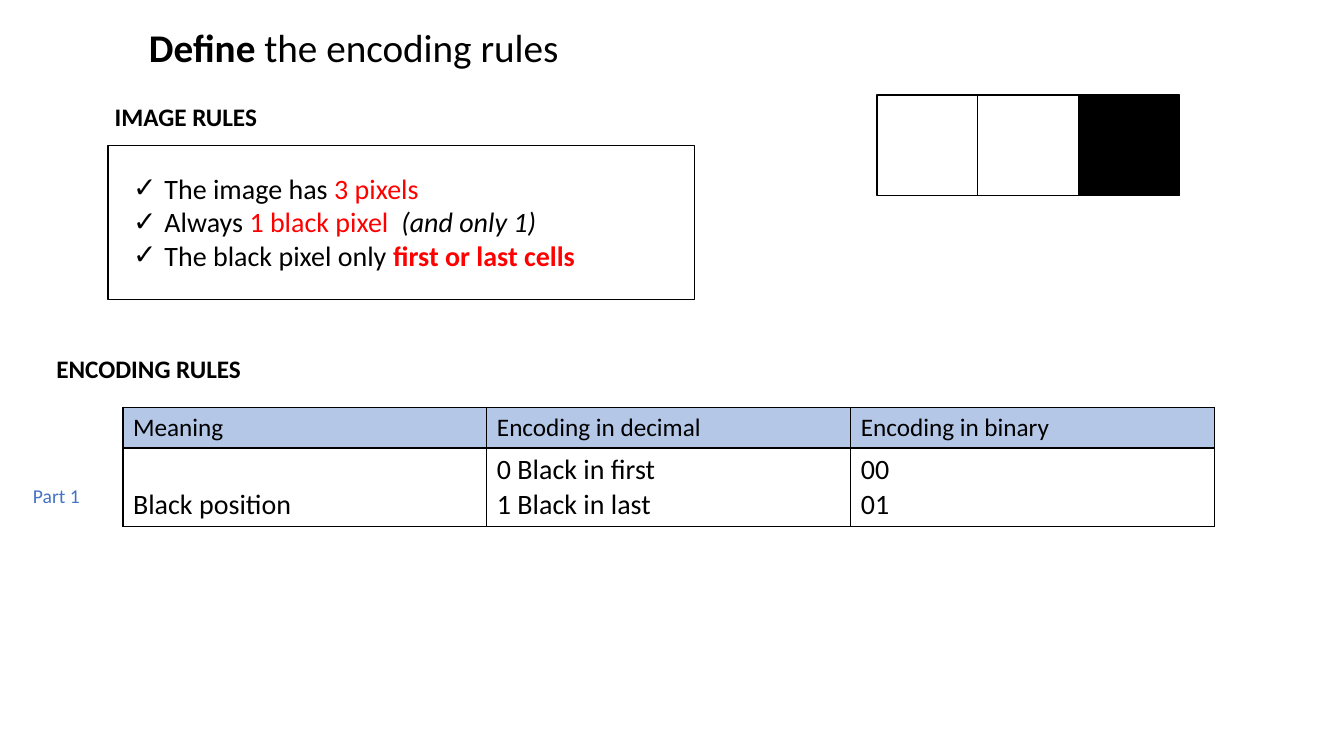
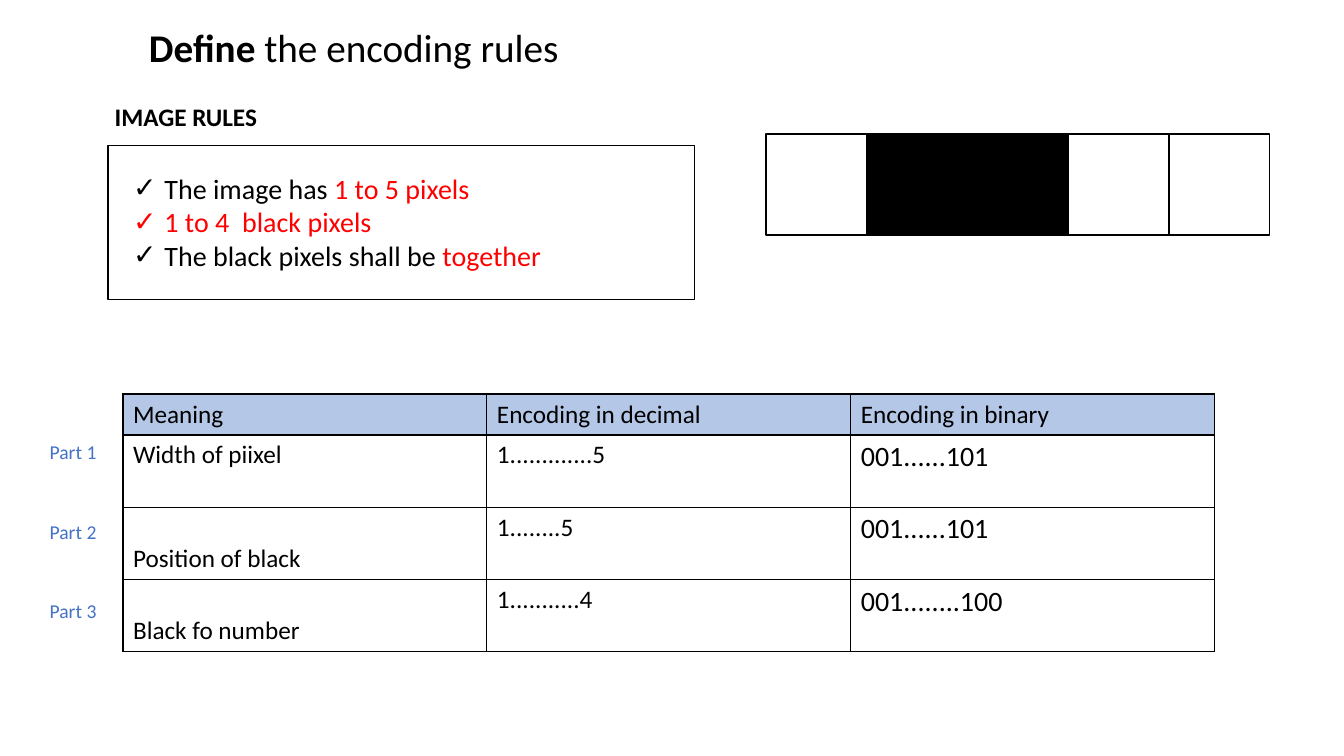
import pptx
import pptx.dml.color
import pptx.enum.shapes
import pptx.enum.text
import pptx.oxml
import pptx.oxml.ns
import pptx.util
from pptx.util import Cm

BLACK = pptx.dml.color.RGBColor(0x00, 0x00, 0x00)
WHITE = pptx.dml.color.RGBColor(0xFF, 0xFF, 0xFF)
RED = pptx.dml.color.RGBColor(0xFF, 0x00, 0x00)
BLUE = pptx.dml.color.RGBColor(0x44, 0x72, 0xC4)
PALE = pptx.dml.color.RGBColor(0xB4, 0xC7, 0xE7)
FONT = "Calibri"
NS = pptx.oxml.ns.nsdecls("a")
RECT = pptx.enum.shapes.MSO_SHAPE.RECTANGLE
LEFT = pptx.enum.text.PP_ALIGN.LEFT
TOP = pptx.enum.text.MSO_ANCHOR.TOP
LOW = pptx.enum.text.MSO_ANCHOR.BOTTOM
FIXED = pptx.enum.text.MSO_AUTO_SIZE.NONE
HEADS = ["Meaning", "Encoding in decimal", "Encoding in binary"]
SIDE = 2.54

PAGES = [
    {
        "rules": [
            [("The image has ", BLACK, ""), ("3 pixels", RED, "")],
            [("Always ", BLACK, ""), ("1 black pixel  ", RED, ""),
             ("(and only 1)", BLACK, "i")],
            [("The black pixel only ", BLACK, ""), ("first or last cells", RED, "b")],
        ],
        "pixels": (22.1, 2.39, [WHITE, WHITE, BLACK]),
        "heads": [("IMAGE RULES", 2.64, 2.44), ("ENCODING RULES", 1.17, 8.79)],
        "parts": [("Part 1", 0.58, 12.07)],
        "top": 10.26,
        "height": 1.96,
        "sizes": [20, 20, 20],
        "rows": [(LOW, ["Black position"],
                  ["0 Black in first", "1 Black in last"], ["00", "01"])],
    },
    {
        "rules": [
            [("The image has ", BLACK, ""), ("1 to 5 pixels", RED, "")],
            [("1 to 4  black pixels", RED, "")],
            [("The black pixels shall be ", BLACK, ""), ("together", RED, "")],
        ],
        "pixels": (19.3, 3.38, [WHITE, BLACK, BLACK, WHITE, WHITE]),
        "heads": [("IMAGE RULES", 2.64, 2.44)],
        "parts": [(f"Part {i + 1}", 1, 10.97 + 2 * i) for i in range(3)],
        "top": 9.93,
        "height": 1.82,
        "sizes": [18, 18, 20],
        "rows": [
            (TOP, ["Width of piixel"], ["1.............5"], ["001......101"]),
            (LOW, ["Position of black"], ["1........5"], ["001......101"]),
            (LOW, ["Black fo number"], ["1...........4"], ["001........100"]),
        ],
    },
]


def write(frame, lines, size):
    for i, line in enumerate(lines):
        para = frame.paragraphs[0] if i == 0 else frame.add_paragraph()
        para.alignment = LEFT
        para.space_before = pptx.util.Pt(0)
        for text, color, style in line:
            run = para.add_run()
            run.text = text
            run.font.name = FONT
            run.font.size = pptx.util.Pt(size)
            run.font.color.rgb = color
            run.font.bold = "b" in style
            run.font.italic = "i" in style


def place(shape, left, top, width, height):
    shape.left, shape.top = Cm(left), Cm(top)
    shape.width, shape.height = Cm(width), Cm(height)
    shape.text_frame.word_wrap = True
    shape.text_frame.auto_size = FIXED
    shape.text_frame.vertical_anchor = TOP


deck = pptx.Presentation()
deck.slide_width = Cm(33.87)
deck.slide_height = Cm(19.05)

for page in PAGES:
    slide = deck.slides.add_slide(deck.slide_layouts[1])
    title = slide.shapes.title
    place(title, 3.5, 0.46, 11.43, 1.45)
    write(title.text_frame,
          [[("Define", BLACK, "b"), (" the encoding rules", BLACK, "")]], 28)

    body = slide.placeholders[1]
    place(body, 3.1, 4.19, 12, 2.82)
    write(body.text_frame, page["rules"], 20)
    for para in body.text_frame.paragraphs:
        props = para._p.get_or_add_pPr()
        props.set("marL", str(Cm(0.79)))
        props.set("indent", str(-Cm(0.79)))
        props.append(pptx.oxml.parse_xml(f'<a:buChar {NS} char="✓"/>'))

    left, top, shades = page["pixels"]
    boxes = [(2.72, 3.66, 14.78, 3.89, None)]
    boxes += [(left + i * SIDE, top, SIDE, SIDE, shade) for i, shade in enumerate(shades)]
    for x, y, width, height, shade in boxes:
        box = slide.shapes.add_shape(RECT, Cm(x), Cm(y), Cm(width), Cm(height))
        box.shadow.inherit = False
        box.line.color.rgb = BLACK
        box.line.width = pptx.util.Pt(1)
        if shade is None:
            box.fill.background()
        else:
            box.fill.solid()
            box.fill.fore_color.rgb = shade

    labels = [(*head, 5.5, 18, BLACK, "b") for head in page["heads"]]
    labels += [(*part, 1.9, 14, BLUE, "") for part in page["parts"]]
    for text, x, y, width, size, color, style in labels:
        label = slide.shapes.add_textbox(0, 0, 0, 0)
        place(label, x, y, width, 1)
        write(label.text_frame, [[(text, color, style)]], size)

    rows = [(TOP, *[[head] for head in HEADS])] + page["rows"]
    table = slide.shapes.add_table(
        len(rows), 3, Cm(3.1), Cm(page["top"]), Cm(27.51),
        Cm(1.03 + page["height"] * len(page["rows"]))).table
    table.first_row = False
    table.horz_banding = False
    for column in table.columns:
        column.width = Cm(9.17)
    for r, (anchor, *texts) in enumerate(rows):
        table.rows[r].height = Cm(page["height"] if r else 1.03)
        for c, lines in enumerate(texts):
            cell = table.cell(r, c)
            cell.vertical_anchor = anchor if c == 0 else TOP
            write(cell.text_frame, [[(line, BLACK, "")] for line in lines],
                  page["sizes"][c] if r else 18)
            for edge in ("lnL", "lnR", "lnT", "lnB"):
                cell._tc.get_or_add_tcPr().append(pptx.oxml.parse_xml(
                    f'<a:{edge} {NS} w="12700"><a:solidFill>'
                    f'<a:srgbClr val="{BLACK}"/></a:solidFill></a:{edge}>'))
            if r:
                cell.fill.background()
            else:
                cell.fill.solid()
                cell.fill.fore_color.rgb = PALE

deck.save("out.pptx")
